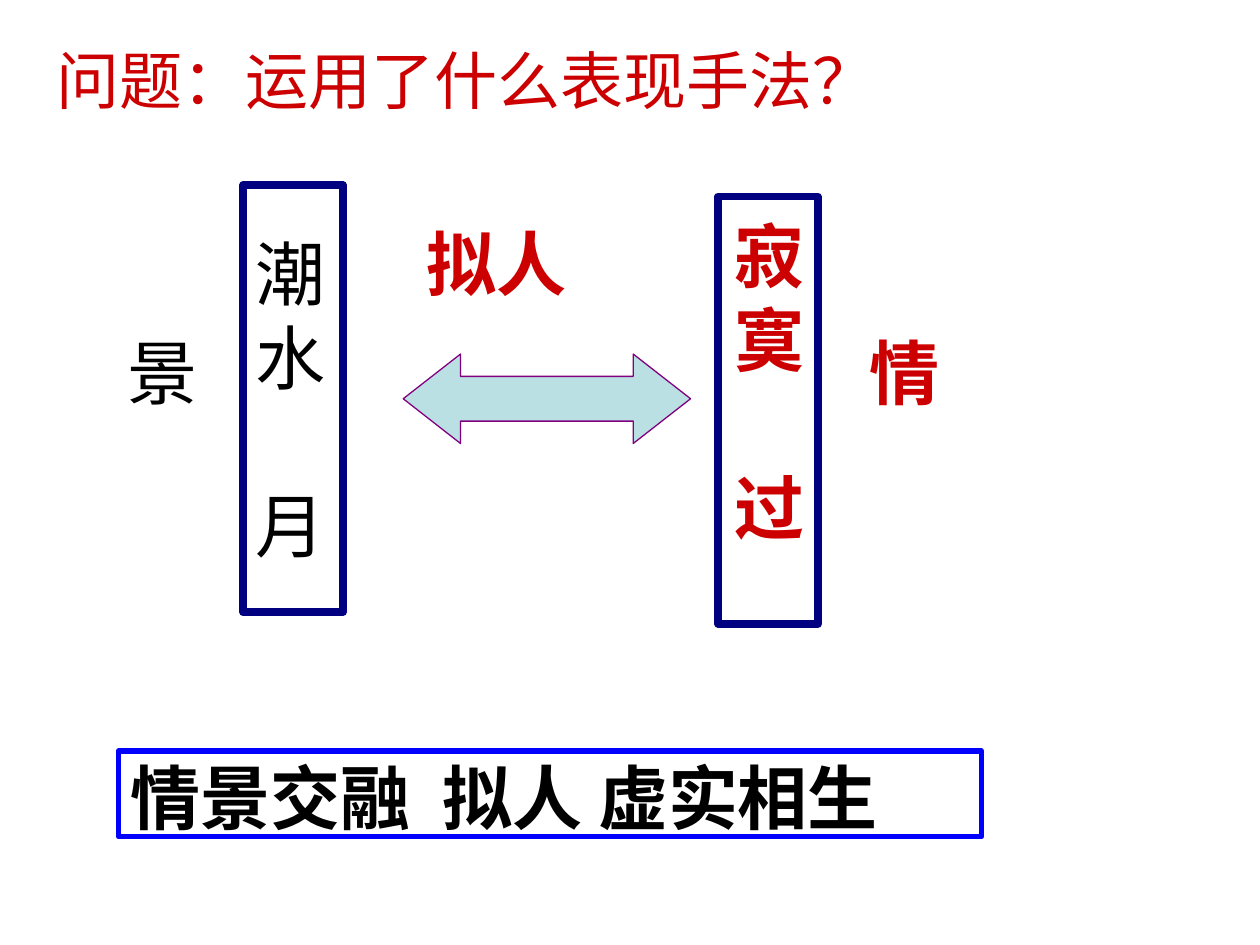
from pptx import Presentation
from pptx.dml.color import RGBColor
from pptx.enum.shapes import MSO_SHAPE
from pptx.enum.text import MSO_ANCHOR, MSO_AUTO_SIZE, PP_ALIGN
from pptx.util import Pt

RECT = MSO_SHAPE.RECTANGLE
DOUBLE_ARROW = MSO_SHAPE.LEFT_RIGHT_ARROW
TOP = MSO_ANCHOR.TOP
LEFT = PP_ALIGN.LEFT
NO_FIT = MSO_AUTO_SIZE.NONE

TITLE_ONLY = 5
LINE_PITCH = 48
COLORS = {
    "white": "FFFFFF",
    "black": "000000",
    "red": "CC0000",
    "navy": "000080",
    "blue": "0000FF",
    "purple": "800080",
    "pale": "BBE0E3",
}


def rgb(name):
    return RGBColor.from_string(COLORS[name])


def place(sp, box):
    sp.left, sp.top, sp.width, sp.height = (Pt(v) for v in box)


def write(sp, lines, color, size=40, bold=False, font="Arial", wrap=True):
    """Fill a text holder with top-left aligned paragraphs of one format."""
    tf = sp.text_frame
    tf.text = "\n".join(lines)
    tf.word_wrap = wrap
    tf.auto_size = NO_FIT
    tf.vertical_anchor = TOP
    for p in tf.paragraphs:
        p.alignment = LEFT
        p.font.name = font
        p.font.size = Pt(size)
        p.font.bold = bold
        p.font.color.rgb = rgb(color)
    return tf


def add_label(shapes, box, lines, color, **style):
    tb = shapes.add_textbox(*(Pt(v) for v in box))
    return write(tb, lines, color, **style)


def add_figure(shapes, kind, box, fill, line, width):
    sp = shapes.add_shape(kind, *(Pt(v) for v in box))
    sp.shadow.inherit = False
    sp.fill.solid()
    sp.fill.fore_color.rgb = rgb(fill)
    sp.line.color.rgb = rgb(line)
    sp.line.width = Pt(width)
    return sp


def add_title(slide, box):
    title = slide.shapes.title
    place(title, box)
    write(title, ["问题：运用了什么表现手法？"], "red", size=36)


def add_column(slide, box, text_box, lines, color, bold=False):
    """Framed vertical column whose last word stands one line apart."""
    x, y, _, _ = box
    dx, dy, w, h = text_box
    group = slide.shapes.add_group_shape()
    add_figure(group.shapes, RECT, box, "white", "navy", 4.5)
    tf = add_label(group.shapes, (x + dx, y + dy, w, h), lines, color, bold=bold)
    tf.paragraphs[-1].space_before = Pt(LINE_PITCH)


def add_link(slide, box):
    """Double arrow with its caption above."""
    x, y, _, _ = box
    arrow = add_figure(slide.shapes, DOUBLE_ARROW, box, "pale", "purple", 0.75)
    arrow.adjustments[0] = 0.5
    arrow.adjustments[1] = 0.641
    add_label(slide.shapes, (x + 6.5, y - 80, 94.3, 55.4), ["拟人"], "red",
              bold=True, wrap=False)


def add_summary(slide, box):
    x, y, _, _ = box
    group = slide.shapes.add_group_shape()
    add_figure(group.shapes, RECT, box, "white", "blue", 3)
    add_label(group.shapes, (x, y - 1.4, 538.6, 55.4),
              ["情景交融  拟人 虚实相生"], "black", bold=True,
              font="Noto Sans CJK SC")


def main():
    prs = Presentation()
    prs.slide_width, prs.slide_height = Pt(720), Pt(540)
    slide = prs.slides.add_slide(prs.slide_layouts[TITLE_ONLY])

    add_title(slide, (25.2, 20.2, 714.2, 50.4))
    add_summary(slide, (67.7, 429.1, 493.2, 49))
    add_column(slide, (139, 105.8, 56.9, 244.1), (0, 22.4, 56.9, 199.4),
               ["潮水", "月"], "black")
    add_column(slide, (410.4, 112.3, 56.9, 244.1), (2, 5.8, 55, 247.7),
               ["寂", "寞", "过"], "red", bold=True)
    add_link(slide, (230.4, 202.3, 164.2, 51.1))
    add_label(slide.shapes, (489.6, 185, 61.9, 55.4), ["情"], "red", bold=True)
    add_label(slide.shapes, (65.5, 185, 54, 55.4), ["景"], "black", wrap=False)

    prs.save("out.pptx")


if __name__ == "__main__":
    main()
